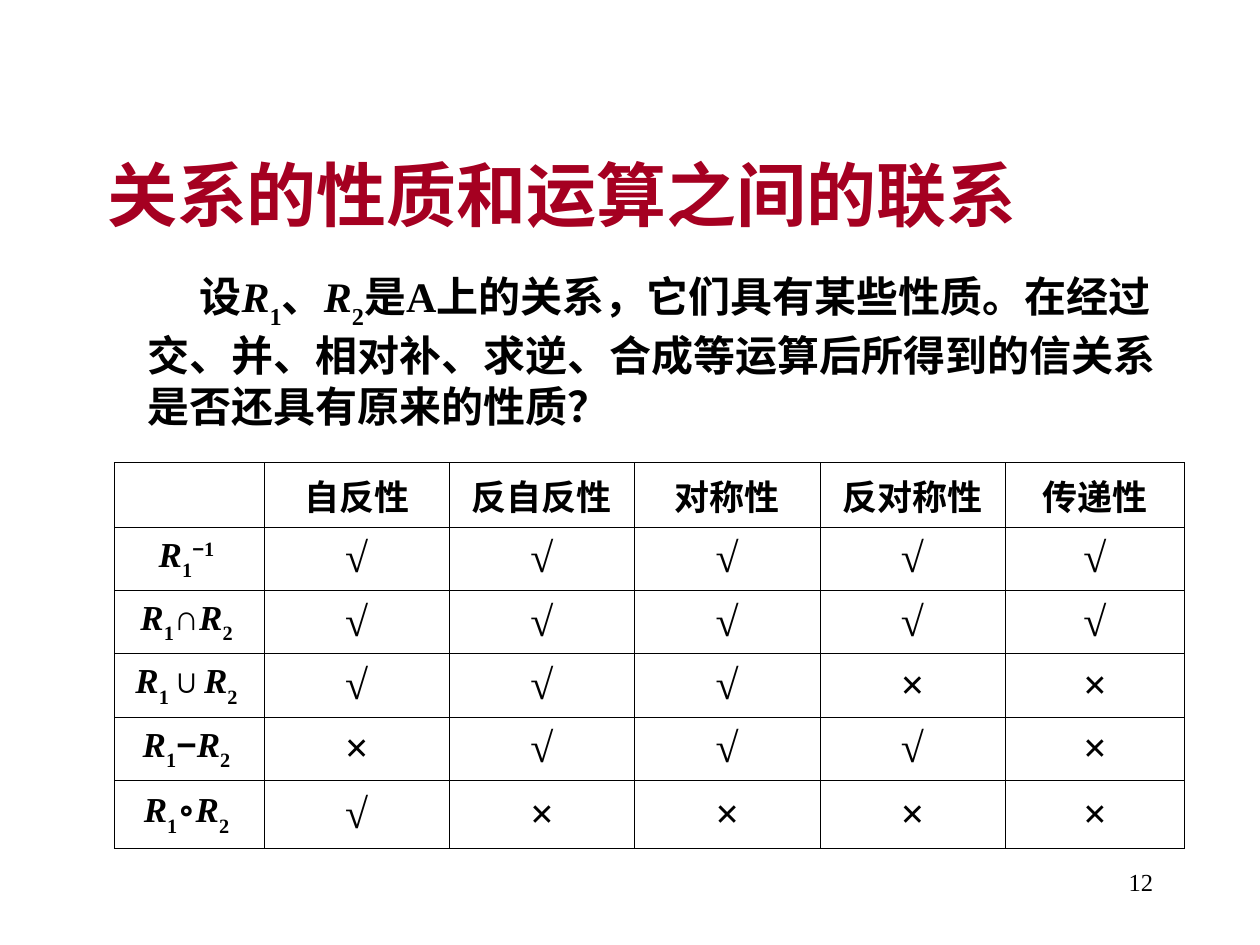
from dataclasses import dataclass
from lxml.etree import SubElement as Sub
from pptx import Presentation
from pptx.dml.color import RGBColor as RGB
from pptx.enum.text import MSO_ANCHOR as Anchor, MSO_AUTO_SIZE as Fit, PP_ALIGN as Align
from pptx.oxml.ns import qn
from pptx.util import Pt


@dataclass(frozen=True)
class Theme:
    """Colours, fonts, type sizes and line widths of the slide."""
    ink: RGB = RGB(0, 0, 0)
    red: RGB = RGB(0xA5, 0, 0x21)
    serif: str = "Times New Roman"
    sans: str = "Arial"
    title: int = 40
    body: int = 24
    label: int = 20
    page: int = 14
    edge: float = 0.34
    rule: float = 0.45


LOOK = Theme()
SHIFT = {"sub": "-30000", "sup": "30000"}
R1 = [("R", "it"), ("1", "sub")]
R2 = [("R", "it"), ("2", "sub")]
END = [("R", "it"), ("2 ", "sub")]
HEADS = ["自反性", "反自反性", "对称性", "反对称性", "传递性"]
ROWS = [
    (R1 + [("−", "sup sans"), ("1 ", "sup")], "√√√√√"),
    (R1 + ["∩"] + END, "√√√√√"),
    (R1 + ["∪"] + END, "√√√××"),
    (R1 + [("−", "sans")] + END, "×√√√×"),
    (R1 + ["∘"] + END, "√××××"),
]
INTRO = ["设", *R1, "、", *R2,
         "是A上的关系，它们具有某些性质。在经过交、并、相对补、求逆、合成等运算后"
         "所得到的信关系是否还具有原来的性质？"]
WIDTHS = [85.7] + [105.9] * 4 + [102.6]
HEIGHTS = [37] + [36.2] * 4 + [38.8]


def write(frame, parts, size=LOOK.body, color=LOOK.ink, bold=True, align=Align.LEFT, indent=0):
    """Fill the first paragraph with plain strings and (text, style) pairs."""
    para = frame.paragraphs[0]
    para.alignment = align
    if indent:
        para._p.get_or_add_pPr().set("indent", str(Pt(indent)))
    for part in [parts] if isinstance(parts, str) else parts:
        words, style = (part, "") if isinstance(part, str) else part
        marks = style.split()
        run = para.add_run()
        run.text = words
        font = run.font
        font.name = LOOK.sans if "sans" in marks else LOOK.serif
        font.size, font.bold, font.italic = Pt(size), bold, "it" in marks
        font.color.rgb = color
        for mark in marks:
            if mark in SHIFT:
                run._r.get_or_add_rPr().set("baseline", SHIFT[mark])


def place(shape, left, top, width, height):
    """Move and size a shape."""
    shape.left, shape.top, shape.width, shape.height = map(Pt, (left, top, width, height))


def add_title(slide, words):
    """Set the title placeholder."""
    title = slide.shapes.title
    place(title, 54, 65.5, 612, 90)
    frame = title.text_frame
    frame.auto_size, frame.vertical_anchor = Fit.NONE, Anchor.MIDDLE
    write(frame, words, size=LOOK.title, color=LOOK.red)


def add_text(slide, box, parts, **form):
    """Add a wrapping text box."""
    frame = slide.shapes.add_textbox(*map(Pt, box)).text_frame
    frame.word_wrap = True
    write(frame, parts, **form)


def add_lines(cell, row, col):
    """Draw the four borders of a cell, thinner on the table's outline."""
    outer = {"L": col == 0, "R": col == len(WIDTHS) - 1,
             "T": row == 0, "B": row == len(HEIGHTS) - 1}
    props = cell._tc.get_or_add_tcPr()
    for spot, (side, edge) in enumerate(outer.items()):
        width = Pt(LOOK.edge if edge else LOOK.rule)
        line = Sub(props, qn(f"a:ln{side}"), w=str(width))
        Sub(Sub(line, qn("a:solidFill")), qn("a:srgbClr"), val=str(LOOK.ink))
        props.insert(spot, line)


def add_grid(slide):
    """Add the table of properties kept by each operation."""
    box = map(Pt, (65.2, 264.2, sum(WIDTHS), sum(HEIGHTS)))
    grid = slide.shapes.add_table(len(HEIGHTS), len(WIDTHS), *box).table
    grid.first_row = grid.horz_banding = False
    for col, width in zip(grid.columns, WIDTHS):
        col.width = Pt(width)
    for row, height in zip(grid.rows, HEIGHTS):
        row.height = Pt(height)
    table = [["", *HEADS]] + [[name, *marks] for name, marks in ROWS]
    for i, line in enumerate(table):
        for j, parts in enumerate(line):
            cell = grid.cell(i, j)
            cell.fill.background()
            cell.vertical_anchor = Anchor.MIDDLE
            add_lines(cell, i, j)
            if parts:
                size = LOOK.body if i and j else LOOK.label
                write(cell.text_frame, parts, size=size, align=Align.CENTER)


def main():
    """Build and save the slide."""
    deck = Presentation()
    deck.slide_width, deck.slide_height = Pt(720), Pt(540)
    slide = deck.slides.add_slide(deck.slide_layouts[5])
    add_text(slide, (516, 492, 150, 36), "12", size=LOOK.page, bold=False, align=Align.RIGHT)
    add_title(slide, "关系的性质和运算之间的联系")
    add_grid(slide)
    add_text(slide, (77, 151, 606, 99), INTRO, indent=30)
    deck.save("out.pptx")


if __name__ == "__main__":
    main()
